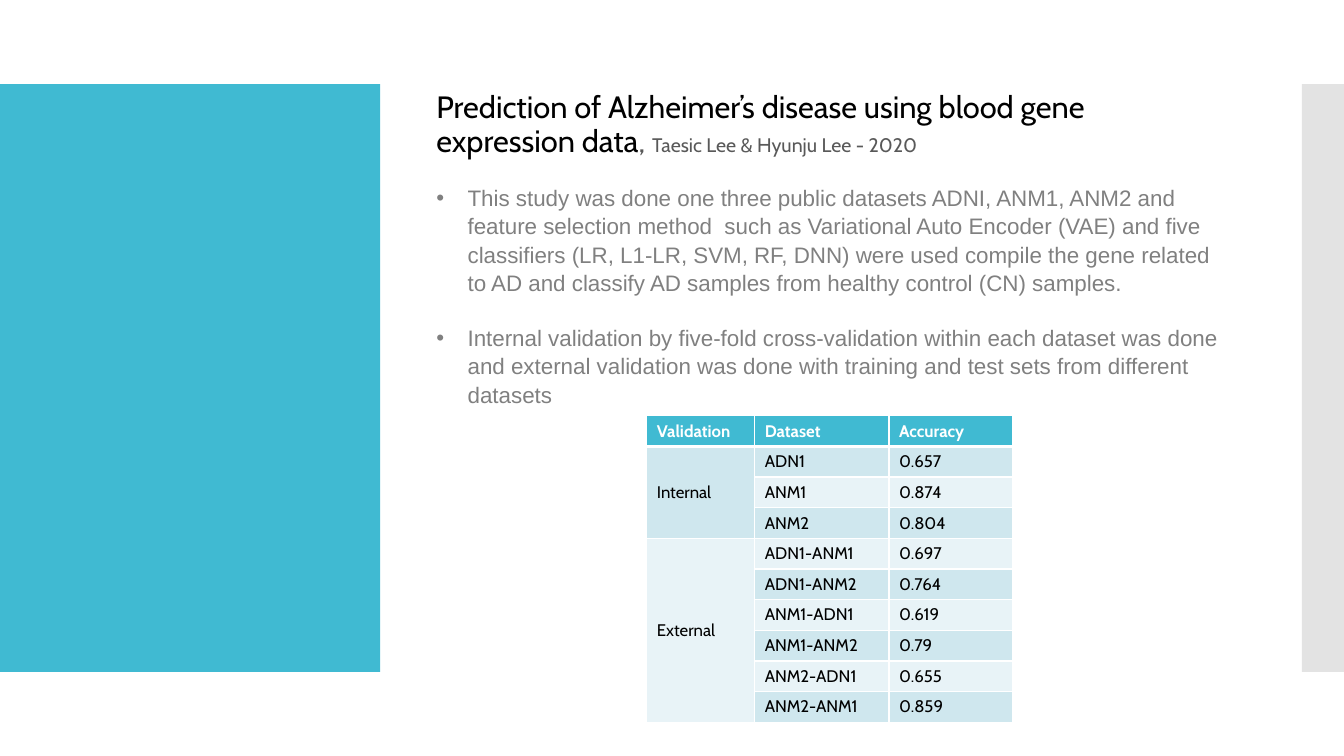
import dataclasses

import lxml.etree
import pptx
import pptx.dml.color
import pptx.enum.shapes
import pptx.enum.text
import pptx.oxml.ns
import pptx.util


@dataclasses.dataclass(frozen=True)
class Theme:
    accent: str = "40BAD2"
    side_gray: str = "C8C8C8"
    band_dark: str = "CFE7EE"
    band_light: str = "E8F3F7"
    white: str = "FFFFFF"
    black: str = "000000"
    author_gray: str = "595959"
    body_gray: str = "808080"
    heading_font: str = "Cabin"
    body_font: str = "Arial"
    title_size: int = 22
    author_size: int = 14
    body_size: int = 16
    table_size: int = 12


theme = Theme()
qn = pptx.oxml.ns.qn
rgb = pptx.dml.color.RGBColor.from_string

presentation = pptx.Presentation()
presentation.slide_width = pptx.util.Inches(13.33)
presentation.slide_height = pptx.util.Inches(7.5)
column = presentation.slide_width / 32
row = presentation.slide_height / 9
slide = presentation.slides.add_slide(presentation.slide_layouts[1])


def box(left, top, width, height):
    return int(left * column), int(top * row), int(width * column), int(height * row)


def style(font, name, size, color, bold=False):
    font.name = name
    font.size = pptx.util.Pt(size)
    font.color.rgb = rgb(color)
    font.bold = bold


for left, width, color, opacity in [(0, 9.05, theme.accent, 100), (31, 1, theme.side_gray, 50)]:
    panel = slide.shapes.add_shape(
        pptx.enum.shapes.MSO_SHAPE.RECTANGLE, *box(left, 1, width, 7))
    panel.shadow.inherit = False
    panel.fill.solid()
    panel.fill.fore_color.rgb = rgb(color)
    panel.line.fill.background()
    if opacity < 100:
        fill_color = panel.fill._xPr.find(qn("a:solidFill"))[0]
        lxml.etree.SubElement(fill_color, qn("a:alpha"), val=str(opacity * 1000))

title = slide.shapes.title
body = slide.placeholders[1]
for placeholder, top, height in [(title, 1.04, 1.2), (body, 2.12, 2.71)]:
    placeholder.left, placeholder.top, placeholder.width, placeholder.height = box(
        10.15, top, 19.2, height)
    placeholder.text_frame.word_wrap = True
    placeholder.text_frame.auto_size = pptx.enum.text.MSO_AUTO_SIZE.NONE
    placeholder.text_frame.vertical_anchor = pptx.enum.text.MSO_ANCHOR.TOP

paragraph = title.text_frame.paragraphs[0]
paragraph.alignment = pptx.enum.text.PP_ALIGN.LEFT
paragraph.line_spacing = 0.9
for text, size, color in [
    ("Prediction of Alzheimer’s disease using blood gene expression data",
     theme.title_size, theme.black),
    (", ", theme.title_size, theme.author_gray),
    ("Taesic Lee & Hyunju Lee - 2020", theme.author_size, theme.author_gray),
]:
    run = paragraph.add_run()
    run.text = text
    style(run.font, theme.heading_font, size, color)

findings = [
    "This study was done one three public datasets ADNI, ANM1, ANM2 and feature selection "
    "method  such as Variational Auto Encoder (VAE) and five classifiers (LR, L1-LR, SVM, RF, "
    "DNN) were used compile the gene related to AD and classify AD samples from healthy "
    "control (CN) samples.",
    "Internal validation by five-fold cross-validation within each dataset was done and "
    "external validation was done with training and test sets from different datasets",
]
body.text_frame.text = "\n".join(findings)
indent = pptx.util.Inches(0.31)
for index, paragraph in enumerate(body.text_frame.paragraphs):
    properties = paragraph._p.get_or_add_pPr()
    properties.set("marL", str(indent))
    properties.set("indent", str(-indent))
    lxml.etree.SubElement(properties, qn("a:buChar"), char="•")
    paragraph.line_spacing = 1.05
    paragraph.space_before = pptx.util.Pt(19.4 * index)
    style(paragraph.runs[0].font, theme.body_font, theme.body_size, theme.body_gray)

header = ("Validation", "Dataset", "Accuracy")
results = {
    "Internal": [("ADN1", "0.657"), ("ANM1", "0.874"), ("ANM2", "0.804")],
    "External": [
        ("ADN1-ANM1", "0.697"), ("ADN1-ANM2", "0.764"), ("ANM1-ADN1", "0.619"),
        ("ANM1-ANM2", "0.79"), ("ANM2-ADN1", "0.655"), ("ANM2-ANM1", "0.859"),
    ],
}
records = [header] + [
    (validation if index == 0 else "", *entry)
    for validation, entries in results.items()
    for index, entry in enumerate(entries)
]
column_widths = (2.57, 3.2, 2.93)
row_height = 0.365
table = slide.shapes.add_table(
    len(records), len(header),
    *box(15.4, 4.95, sum(column_widths), row_height * len(records))).table
table.horizontal_banding = False
for table_column, width in zip(table.columns, column_widths):
    table_column.width = int(width * column)

for row_index, record in enumerate(records):
    table.rows[row_index].height = int(row_height * row)
    is_header = row_index == 0
    band = theme.band_dark if row_index % 2 else theme.band_light
    for column_index, text in enumerate(record):
        cell = table.cell(row_index, column_index)
        cell.text = text
        style(cell.text_frame.paragraphs[0].font, theme.heading_font, theme.table_size,
              theme.white if is_header else theme.black, is_header)
        properties = cell._tc.get_or_add_tcPr()
        for side in ("L", "R", "T", "B"):
            thick = (is_header and side == "B") or (row_index == 1 and side == "T")
            border = lxml.etree.SubElement(
                properties, qn(f"a:ln{side}"), w=str(pptx.util.Pt(3 if thick else 1)))
            border_fill = lxml.etree.SubElement(border, qn("a:solidFill"))
            lxml.etree.SubElement(border_fill, qn("a:srgbClr"), val=theme.white)
        cell.fill.solid()
        cell.fill.fore_color.rgb = rgb(theme.accent if is_header else band)

first_row = 1
for entries in results.values():
    group = table.cell(first_row, 0)
    group.merge(table.cell(first_row + len(entries) - 1, 0))
    group.vertical_anchor = pptx.enum.text.MSO_ANCHOR.MIDDLE
    first_row += len(entries)

presentation.save("out.pptx")
